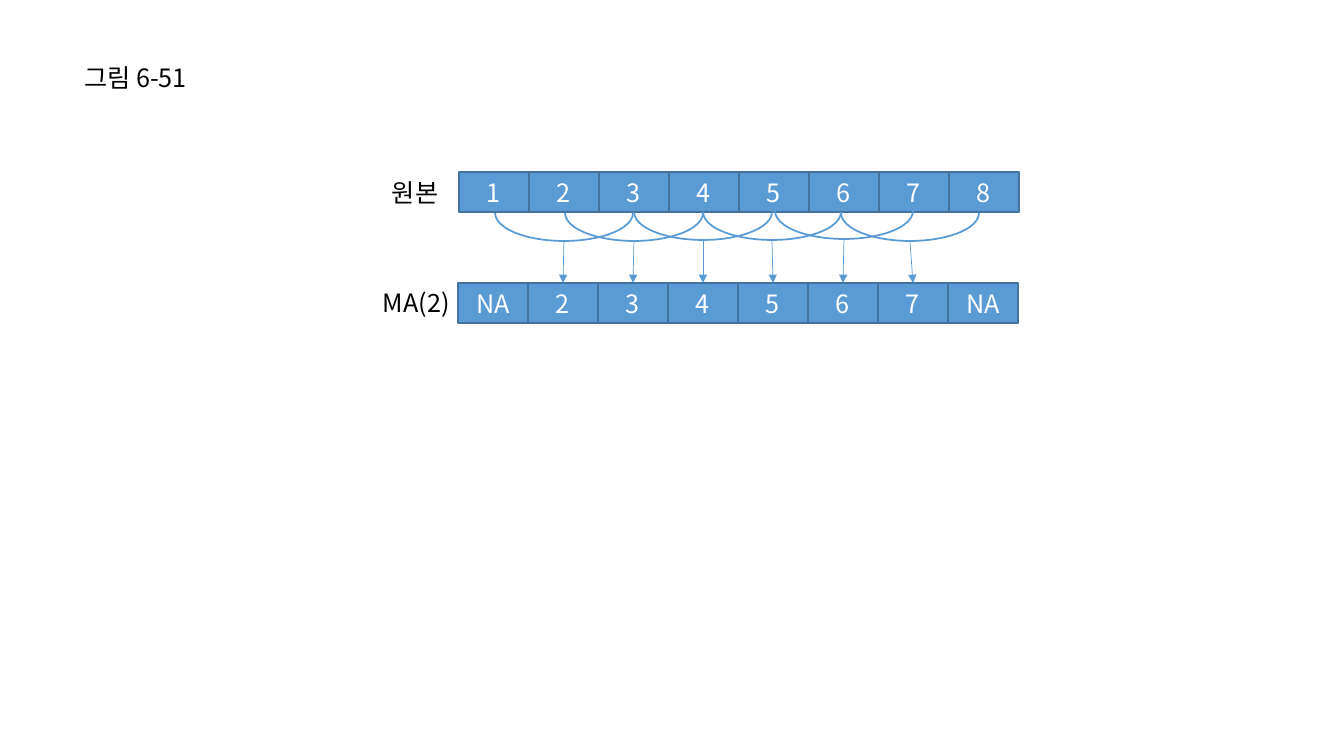
"""Build the figure 6-51 slide: a series and its moving average MA(2)."""
from dataclasses import dataclass

from lxml import etree
from pptx import Presentation, util as u
from pptx.dml.color import RGBColor
from pptx.enum import shapes, text
from pptx.oxml.ns import qn


@dataclass(frozen=True)
class Theme:
    font: str = "Noto Sans CJK KR"
    size: int = 18
    ink: RGBColor = RGBColor(0x00, 0x00, 0x00)
    white: RGBColor = RGBColor(0xFF, 0xFF, 0xFF)
    blue: RGBColor = RGBColor(0x5B, 0x9B, 0xD5)
    edge: RGBColor = RGBColor(0x43, 0x73, 0x9E)


theme = Theme()


def px(*lengths):
    return [u.Emu(round(n * 914400 / 100.8)) for n in lengths]


def write(sp, words, color=theme.ink, align=text.PP_ALIGN.LEFT,
          anchor=text.MSO_ANCHOR.TOP, wrap=False,
          fit=text.MSO_AUTO_SIZE.SHAPE_TO_FIT_TEXT):
    tf = sp.text_frame
    tf.word_wrap, tf.auto_size, tf.vertical_anchor = wrap, fit, anchor
    p = tf.paragraphs[0]
    p.alignment, p.line_spacing = align, 1.0
    r = p.add_run()
    r.text = words
    r.font.name, r.font.size = theme.font, u.Pt(theme.size)
    r.font.color.rgb = color
    etree.SubElement(r.font._element, qn("a:ea"), typeface=theme.font)


prs = Presentation()
prs.slide_width, prs.slide_height = px(1344, 756)
s = prs.slides.add_slide(prs.slide_layouts[5])

title = s.shapes.title
title.left, title.top, title.width, title.height = px(74, 57, 133, 40)
write(title, "그림 6-51")

CELL_W, CELL_H = 70, 40
MA_LEFT, MA_TOP = 458, 283
rows = [
    ("원본", (382, 172, 72, 40), 459, 172, "1 2 3 4 5 6 7 8".split()),
    ("MA(2)", (373, 282, 90, 40), MA_LEFT, MA_TOP, "NA 2 3 4 5 6 7 NA".split()),
]
for label, box, left, top, values in rows:
    for i, value in enumerate(values):
        cell = s.shapes.add_shape(shapes.MSO_SHAPE.RECTANGLE,
                                  *px(left + i * CELL_W, top, CELL_W, CELL_H))
        cell.shadow.inherit = False
        cell.fill.solid()
        cell.fill.fore_color.rgb = theme.blue
        cell.line.color.rgb, cell.line.width = theme.edge, u.Pt(1)
        write(cell, value, color=theme.white, align=text.PP_ALIGN.CENTER,
              anchor=text.MSO_ANCHOR.MIDDLE, wrap=True, fit=text.MSO_AUTO_SIZE.NONE)
    write(s.shapes.add_textbox(*px(*box)), label)

ARC_DEPTH, ARC_SPAN = 28, 138
arc_tips = [(564, 241), (634, 241), (703, 240), (772, 240), (844, 239), (910, 241)]
for i, (x, y) in enumerate(arc_tips, start=1):
    arc = s.shapes.add_shape(
        shapes.MSO_SHAPE.RIGHT_BRACKET,
        *px(x - ARC_DEPTH / 2, y - (ARC_DEPTH + ARC_SPAN) / 2, ARC_DEPTH, ARC_SPAN))
    arc.rotation = 90
    arc.adjustments[0] = ARC_SPAN / ARC_DEPTH / 2
    arc.shadow.inherit = False
    arc.fill.background()
    arc.line.color.rgb, arc.line.width = theme.blue, u.Pt(1.25)

    arrow = s.shapes.add_connector(
        shapes.MSO_CONNECTOR.STRAIGHT,
        *px(x, y, MA_LEFT + (i + 0.5) * CELL_W, MA_TOP))
    arrow.line.color.rgb, arrow.line.width = theme.blue, u.Pt(0.5)
    etree.SubElement(arrow.line._get_or_add_ln(), qn("a:tailEnd"), type="triangle")
    etree.SubElement(arrow._element.spPr, qn("a:effectLst"))

prs.save("out.pptx")
